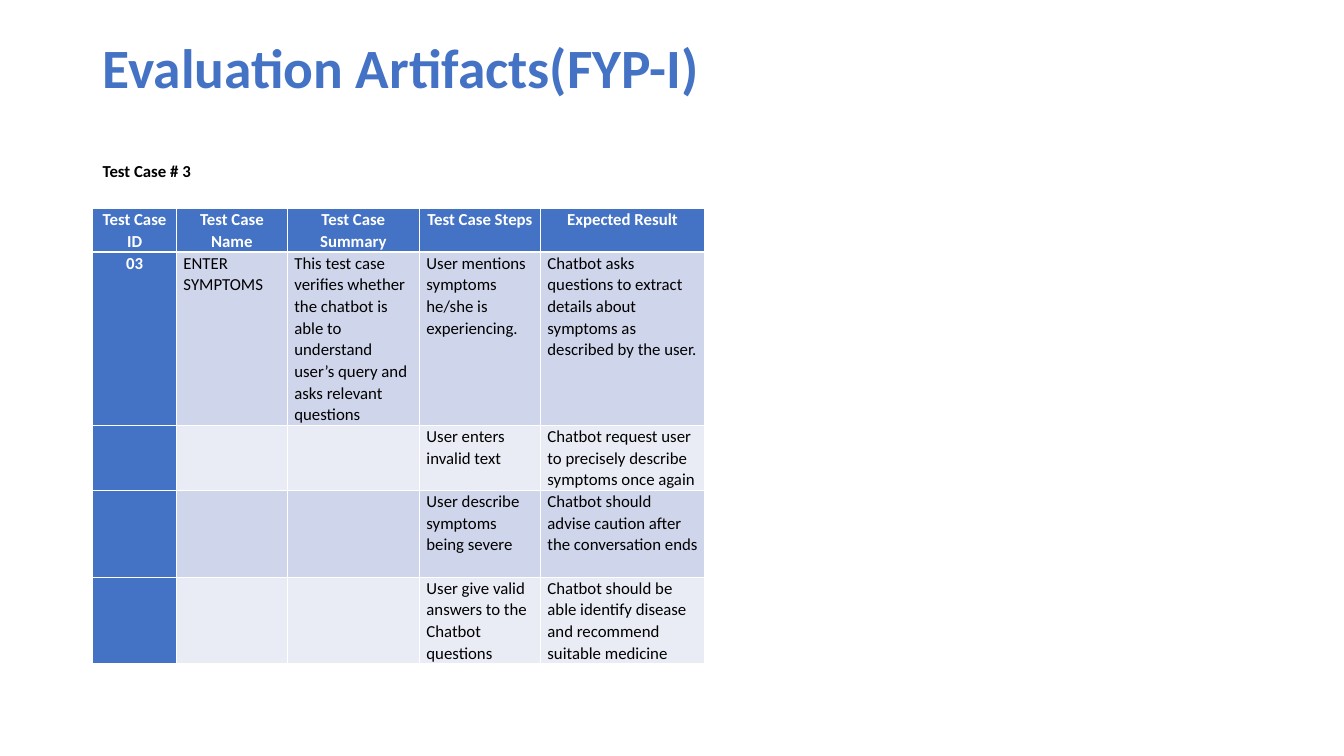
from pptx import Presentation
from pptx.dml.color import RGBColor
from pptx.enum.text import MSO_ANCHOR as Anchor, MSO_AUTO_SIZE as AutoSize, PP_ALIGN as Align
from pptx.util import Inches, Pt

COLORS = {
    "accent": "4472C4",
    "band_dark": "CFD5EA",
    "band_light": "E9EBF5",
    "white": "FFFFFF",
    "black": "000000",
}
LEFT = 0.92
COLUMN_WIDTHS = [0.83, 1.1, 1.31, 1.2, 1.63]
ROW_HEIGHTS = [0.42, 1.72, 0.64, 0.86, 0.86]
TEST_CASE = [
    ["Test Case ID", "Test Case Name", "Test Case Summary", "Test Case Steps", "Expected Result"],
    ["03", "ENTER SYMPTOMS",
     "This test case verifies whether the chatbot is able to understand user’s query and asks relevant questions",
     "User mentions symptoms he/she is experiencing.",
     "Chatbot asks questions to extract details about symptoms as described by the user."],
    ["", "", "", "User enters invalid text",
     "Chatbot request user to precisely describe symptoms once again"],
    ["", "", "", "User describe symptoms being severe",
     "Chatbot should advise caution after the conversation ends"],
    ["", "", "", "User give valid answers to the Chatbot questions",
     "Chatbot should be able identify disease and recommend suitable medicine"],
]


class SlideBuilder:
    """Holds the slide and its text style, and adds each kind of element."""

    def __init__(self, slide, font_name="Calibri"):
        self.slide = slide
        self.font_name = font_name

    def style(self, paragraph, size, color, bold, align=Align.LEFT):
        paragraph.alignment = align
        font = paragraph.font
        font.name, font.size, font.bold = self.font_name, Pt(size), bold
        font.color.rgb = RGBColor.from_string(COLORS[color])

    def fill_text(self, shape, text, size, color, margin_top):
        frame = shape.text_frame
        frame.text = text
        frame.word_wrap = True
        frame.auto_size = AutoSize.NONE
        frame.vertical_anchor = Anchor.TOP
        frame.margin_top = Inches(margin_top)
        self.style(frame.paragraphs[0], size, color, True)
        return frame.paragraphs[0]

    def title(self, text, left, top, width, height):
        shape = self.slide.shapes.title
        shape.left, shape.top = Inches(left), Inches(top)
        shape.width, shape.height = Inches(width), Inches(height)
        self.fill_text(shape, text, 39.6, "accent", 0).line_spacing = 0.9

    def label(self, text, left, top, width, height):
        shape = self.slide.shapes.add_textbox(
            Inches(left), Inches(top), Inches(width), Inches(height))
        self.fill_text(shape, text, 12, "black", 0.02)

    def cell(self, cell, text, fill, heading, centered):
        cell.fill.solid()
        cell.fill.fore_color.rgb = RGBColor.from_string(COLORS[fill])
        cell.margin_left = cell.margin_right = Inches(0.07)
        cell.margin_top = cell.margin_bottom = 0
        cell.text = text
        paragraph = cell.text_frame.paragraphs[0]
        paragraph.line_spacing = 1.06
        paragraph.space_before = paragraph.space_after = Pt(3)
        self.style(paragraph, 12, "white" if heading else "black", heading,
                   Align.CENTER if centered else Align.LEFT)

    def table(self, rows, left, top, widths, heights):
        table = self.slide.shapes.add_table(
            len(rows), len(widths), Inches(left), Inches(top),
            Inches(sum(widths)), Inches(sum(heights))).table
        table.first_col = True
        for column, width in zip(table.columns, widths):
            column.width = Inches(width)
        for row, height in zip(table.rows, heights):
            row.height = Inches(height)
        for row_index, row in enumerate(rows):
            band = "band_dark" if row_index % 2 else "band_light"
            for column_index, text in enumerate(row):
                heading = row_index == 0 or column_index == 0
                self.cell(table.cell(row_index, column_index), text,
                          "accent" if heading else band, heading, heading)


def main():
    presentation = Presentation()
    presentation.slide_width, presentation.slide_height = Inches(13.33), Inches(7.5)
    slide = presentation.slides.add_slide(presentation.slide_layouts[5])
    builder = SlideBuilder(slide)
    builder.title("Evaluation Artifacts(FYP-I)", LEFT, 0.4, 11.19, 1.18)
    builder.table(TEST_CASE, LEFT, 2.07, COLUMN_WIDTHS, ROW_HEIGHTS)
    builder.label("Test Case # 3", LEFT, 1.57, sum(COLUMN_WIDTHS), 0.5)
    presentation.save("out.pptx")


if __name__ == "__main__":
    main()
